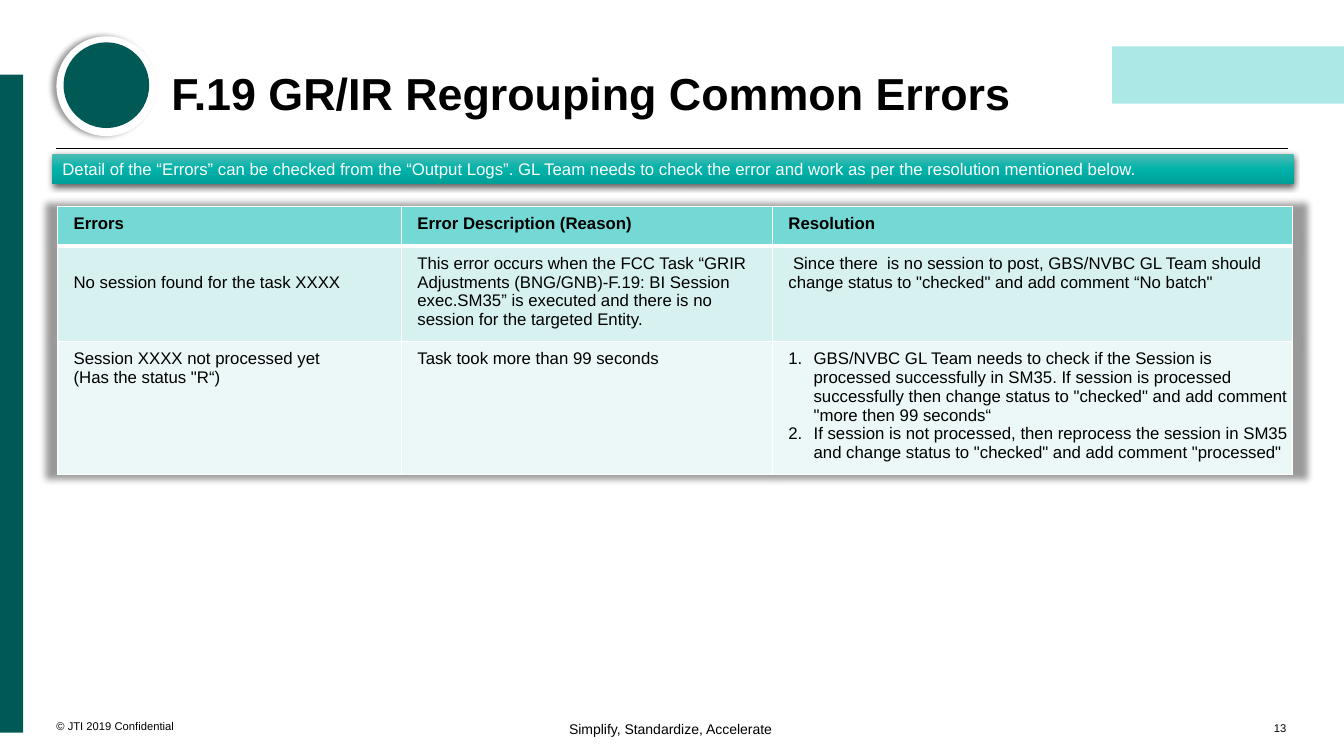
from lxml import etree
from pptx import Presentation
from pptx.dml.color import RGBColor
from pptx.enum import shapes, text
from pptx.oxml import ns
from pptx.util import Inches, Pt

COLOURS = {
    "black": "000000", "white": "FFFFFF", "green": "005955",
    "badge": "ACE8E6", "header": "74D9D5", "row_dark": "D6F1EF", "row_light": "EBF8F7",
    "banner_top": "4BBBB3", "banner_middle": "00B2A9", "banner_end": "009E96",
}
FONT = "Arial"
COLUMN_WIDTHS = [3.41, 3.68, 5.16]
ROW_HEIGHTS = [0.39, 0.94, 1.32]
ROW_FILLS = ["header", "row_dark", "row_light"]
ERROR_ROWS = [
    ["Errors", "Error Description (Reason)", "Resolution"],
    ["No session found for the task XXXX",
     "This error occurs when the FCC Task “GRIR Adjustments (BNG/GNB)-F.19: BI Session "
     "exec.SM35” is executed and there is no session for the targeted Entity.",
     " Since there  is no session to post, GBS/NVBC GL Team should change status to "
     "\"checked\" and add comment “No batch\""],
    ["Session XXXX not processed yet\n(Has the status \"R“)",
     "Task took more than 99 seconds",
     "GBS/NVBC GL Team needs to check if the Session is processed successfully in SM35. "
     "If session is processed successfully then change status to \"checked\" and add "
     "comment \"more then 99 seconds“\n"
     "If session is not processed, then reprocess the session in SM35 and change status "
     "to \"checked\" and add comment \"processed\""],
]


def colour(name):
    return RGBColor.from_string(COLOURS[name])


def add_xml(parent, tag, **attributes):
    return etree.SubElement(parent, ns.qn(tag),
                            {key: str(value) for key, value in attributes.items()})


def add_shadow(parent, alpha, blur, distance, angle, **scale):
    effects = add_xml(parent, "a:effectLst")
    shadow = add_xml(effects, "a:outerShdw", blurRad=Pt(blur), dist=Pt(distance),
                     dir=angle * 60000, **scale, algn="ctr", rotWithShape=0)
    black = add_xml(shadow, "a:srgbClr", val=COLOURS["black"])
    add_xml(black, "a:alpha", val=alpha * 1000)


def format_text(frame, size, ink="black", bold=False, align=None):
    for para in frame.paragraphs:
        para.alignment = align
        for span in para.runs:
            span.font.name, span.font.size, span.font.bold = FONT, Pt(size), bold
            span.font.color.rgb = colour(ink)


def set_frame(frame, anchor):
    frame.margin_left = frame.margin_right = frame.margin_top = frame.margin_bottom = 0
    frame.word_wrap = True
    frame.auto_size = text.MSO_AUTO_SIZE.NONE
    frame.vertical_anchor = anchor


def add_label(page, box, words, size, anchor=text.MSO_ANCHOR.TOP, **style):
    label = page.shapes.add_textbox(*map(Inches, box))
    set_frame(label.text_frame, anchor)
    label.text_frame.text = words
    format_text(label.text_frame, size, **style)


def add_block(page, box, fill, kind=shapes.MSO_SHAPE.RECTANGLE):
    block = page.shapes.add_shape(kind, *map(Inches, box))
    block.shadow.inherit = False
    block.fill.solid()
    block.fill.fore_color.rgb = colour(fill)
    block.line.fill.background()
    return block


def replace_shadow(shape, *settings):
    properties = shape._element.spPr
    properties.remove(properties.find(ns.qn("a:effectLst")))
    add_shadow(properties, *settings)


# Side bar, corner band, round emblem and rule under the title
def add_frame(page, left, top):
    add_block(page, (0, 0.74, 0.23, 6.53), "green")
    add_block(page, (11.03, 0.46, 2.3, 0.57), "badge")
    oval = shapes.MSO_SHAPE.OVAL
    ring = add_block(page, (left, top, 0.99, 0.99), "white", oval)
    replace_shadow(ring, 40, 4, 3, 180)
    add_block(page, (left + 0.07, top + 0.06, 0.85, 0.85), "green", oval)
    rule = page.shapes.add_connector(shapes.MSO_CONNECTOR.STRAIGHT, Inches(left),
                                     Inches(1.47), Inches(12.77), Inches(1.47))
    rule.line.color.rgb = colour("black")
    rule.line.width = Pt(0.75)
    add_xml(rule._element.spPr, "a:effectLst")


def add_title(page, box):
    title = page.shapes.title
    title.left, title.top, title.width, title.height = map(Inches, box)
    frame = title.text_frame
    set_frame(frame, text.MSO_ANCHOR.MIDDLE)
    frame.text = "F.19 GR/IR Regrouping Common Errors"
    format_text(frame, 32, bold=True, align=text.PP_ALIGN.LEFT)
    frame.paragraphs[0].line_spacing = 0.9
    frame.paragraphs[0].runs[0]._r.get_or_add_rPr().set("kern", "0")


# Gradient band with the introduction
def add_banner(page, box):
    banner = add_block(page, box, "banner_middle")
    properties = banner._element.spPr
    solid = properties.find(ns.qn("a:solidFill"))
    gradient = etree.Element(ns.qn("a:gradFill"), rotWithShape="1")
    stops = add_xml(gradient, "a:gsLst")
    for place, name in enumerate(["banner_top", "banner_middle", "banner_end"]):
        stop = add_xml(stops, "a:gs", pos=place * 50000)
        add_xml(stop, "a:srgbClr", val=COLOURS[name])
    add_xml(gradient, "a:lin", ang=90 * 60000, scaled=0)
    properties.replace(solid, gradient)
    replace_shadow(banner, 63, 4.5, 1.5, 90)
    frame = banner.text_frame
    frame.word_wrap = True
    frame.vertical_anchor = text.MSO_ANCHOR.TOP
    frame.text = ("Detail of the “Errors” can be checked from the “Output Logs”. GL Team needs "
                  "to check the error and work as per the resolution mentioned below.")
    format_text(frame, 12, ink="white", align=text.PP_ALIGN.LEFT)


def format_cell(cell, words, fill, is_header):
    cell.margin_left, cell.margin_right = Inches(0.16), Inches(0.01)
    cell.margin_top, cell.margin_bottom = Inches(0.08), Inches(0.12)
    cell.text_frame.text = words
    format_text(cell.text_frame, 12, bold=is_header)
    properties = cell._tc.get_or_add_tcPr()
    for side in ("L", "R", "T", "B"):
        width = Pt(3 if is_header and side == "B" else 1)
        border = add_xml(properties, f"a:ln{side}", w=width)
        add_xml(add_xml(border, "a:solidFill"), "a:srgbClr", val=COLOURS["white"])
    cell.fill.solid()
    cell.fill.fore_color.rgb = colour(fill)


def number_paragraphs(frame):
    for para in frame.paragraphs:
        properties = para._p.get_or_add_pPr()
        properties.set("marL", str(Inches(0.25)))
        properties.set("indent", str(Inches(-0.25)))
        add_xml(properties, "a:buFont", typeface=FONT)
        add_xml(properties, "a:buAutoNum", type="arabicPeriod")


# Table of errors and resolutions
def add_error_table(page, left, top):
    frame = page.shapes.add_table(len(ROW_HEIGHTS), len(COLUMN_WIDTHS), Inches(left),
                                  Inches(top), Inches(sum(COLUMN_WIDTHS)),
                                  Inches(sum(ROW_HEIGHTS)))
    table = frame.table
    table.horz_banding = False
    properties = table._tbl.tblPr
    add_shadow(properties, 40, 5, 0, 0, sx=102000, sy=102000)
    properties.append(properties.find(ns.qn("a:tableStyleId")))
    for column, width in zip(table.columns, COLUMN_WIDTHS):
        column.width = Inches(width)
    for r, height in enumerate(ROW_HEIGHTS):
        table.rows[r].height = Inches(height)
        for c, words in enumerate(ERROR_ROWS[r]):
            format_cell(table.cell(r, c), words, ROW_FILLS[r], r == 0)
    table.cell(1, 0).margin_top = Inches(0.27)
    number_paragraphs(table.cell(2, 2).text_frame)


def add_footer(page, left, right):
    bottom = text.MSO_ANCHOR.BOTTOM
    add_label(page, (left, 6.87, 1.97, 0.4), "© JTI 2019 Confidential", 8, bottom)
    add_label(page, (5.12, 7.15, 3.06, 0.3), "Simplify, Standardize, Accelerate", 10,
              align=text.PP_ALIGN.CENTER)
    add_label(page, (right - 0.43, 6.89, 0.43, 0.4), "13", 8, bottom,
              align=text.PP_ALIGN.RIGHT)


def main():
    deck = Presentation()
    deck.slide_width, deck.slide_height = Inches(13.33), Inches(7.5)
    page = deck.slides.add_slide(deck.slide_layouts[5])
    add_frame(page, 0.56, 0.36)
    add_footer(page, 0.56, 12.76)
    add_error_table(page, 0.57, 2.05)
    add_banner(page, (0.52, 1.53, 12.31, 0.3))
    add_title(page, (1.7, 0.49, 9.74, 0.92))
    deck.save("out.pptx")


if __name__ == "__main__":
    main()
